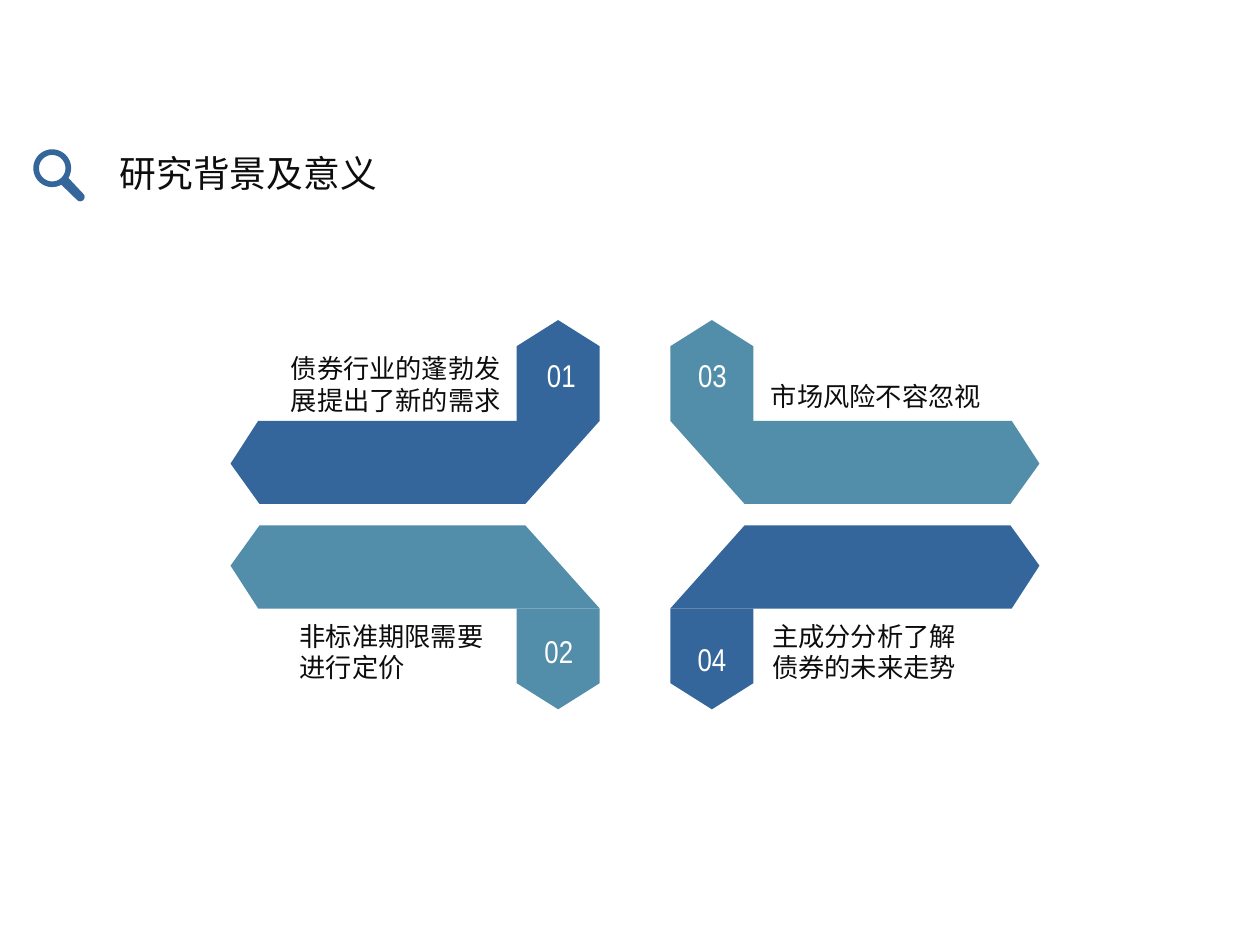
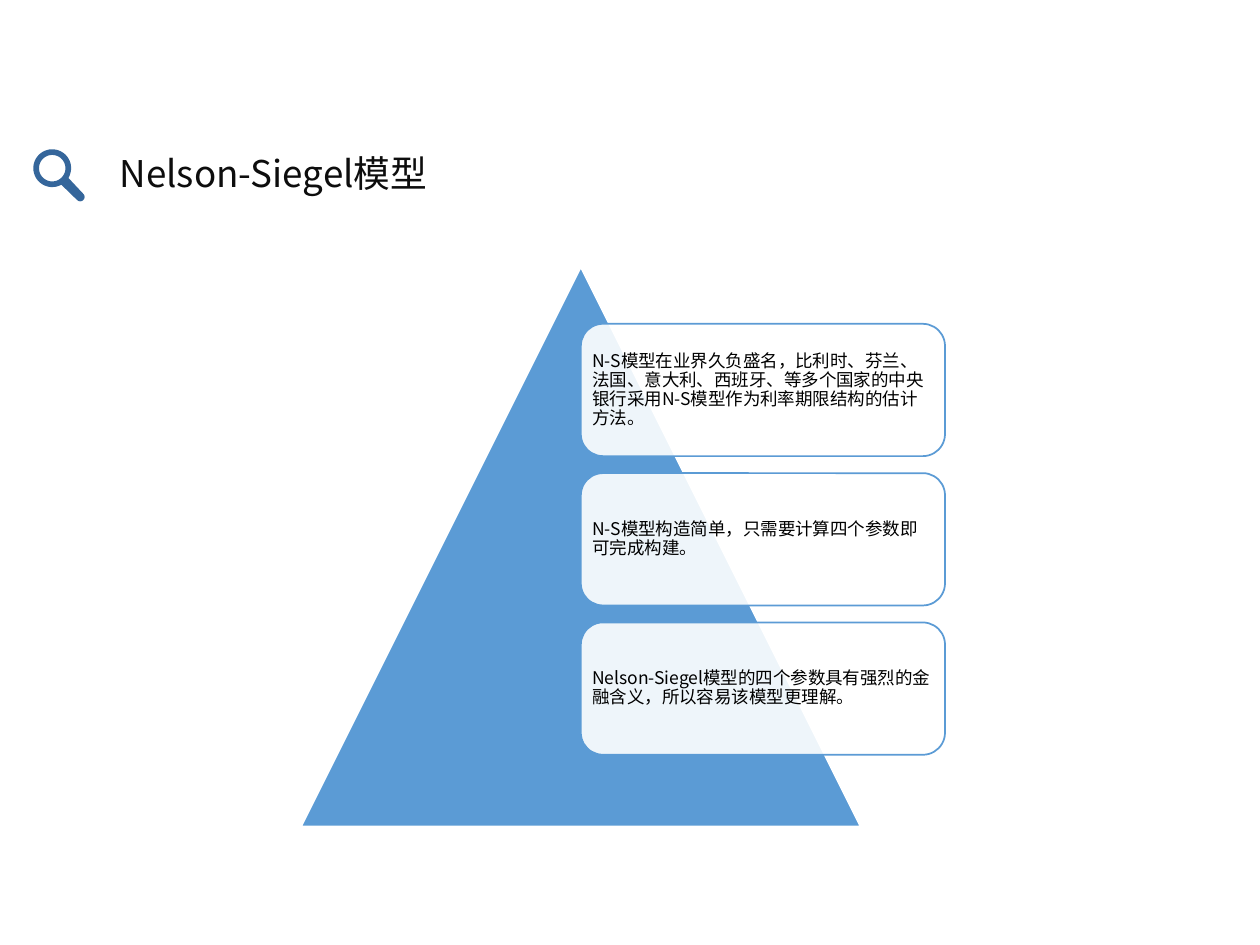
import math
from dataclasses import dataclass

import lxml.etree
import pptx
import pptx.dml.color
import pptx.enum.shapes
import pptx.enum.text
import pptx.oxml.ns
import pptx.util

Inches = pptx.util.Inches
Pt = pptx.util.Pt
Kind = pptx.enum.shapes.MSO_SHAPE
Align = pptx.enum.text.PP_ALIGN
Anchor = pptx.enum.text.MSO_ANCHOR
Fit = pptx.enum.text.MSO_AUTO_SIZE
qn = pptx.oxml.ns.qn


@dataclass(frozen=True)
class Theme:
    navy: str = "35669B"
    teal: str = "528EA9"
    sky: str = "5B9BD5"
    white: str = "FFFFFF"
    ink: str = "0D0D0D"
    black: str = "000000"
    sans: str = "Noto Sans CJK SC"
    narrow: str = "Arial Narrow"
    title: float = 21
    number: float = 18
    label: float = 15
    body: float = 10


def rgb(code):
    return pptx.dml.color.RGBColor.from_string(code)


def write(frame, text, *, size, font, color, align=Align.LEFT,
          anchor=Anchor.TOP, inset=(0.1, 0.05), space=None, grow=False):
    frame.word_wrap = True
    frame.auto_size = Fit.SHAPE_TO_FIT_TEXT if grow else Fit.NONE
    frame.vertical_anchor = anchor
    frame.margin_left = frame.margin_right = Inches(inset[0])
    frame.margin_top = frame.margin_bottom = Inches(inset[1])
    para = frame.paragraphs[0]
    para.alignment = align
    para.line_spacing = space
    run = para.add_run()
    run.text = text
    run.font.size = Pt(size)
    run.font.name = font
    run.font.color.rgb = rgb(color)
    east = lxml.etree.SubElement(run.font._element, qn("a:ea"))
    east.set("typeface", font)


def arc(x, y, radius, start, end, steps):
    turn = (end - start) / steps
    angles = [math.radians(start + turn * i) for i in range(steps + 1)]
    return [(x + radius * math.cos(a), y + radius * math.sin(a)) for a in angles]


class Deck:
    def __init__(self, theme):
        self.theme = theme
        self.file = pptx.Presentation()
        self.file.slide_width = Inches(10)
        self.file.slide_height = Inches(7.5)
        self.slide = None

    def page(self, title):
        self.slide = self.file.slides.add_slide(self.file.slide_layouts[6])
        theme = self.theme
        self.text(title, (0.95, 1.2, 2.66, 0.35), size=theme.title,
                  font=theme.sans, color=theme.ink,
                  align=Align.JUSTIFY, inset=(0, 0))
        self.lens()

    def lens(self):
        x, y = 0.415, 1.335
        rim = arc(x, y, 0.15, 31, -299, 48)
        cap = arc(0.637, 1.563, 0.035, 135, -45, 8)
        hole = arc(x, y, 0.105, 0, 360, 48)
        self.outline([rim + cap, hole], self.theme.navy)

    def text(self, text, box, **style):
        area = self.slide.shapes.add_textbox(*map(Inches, box))
        write(area.text_frame, text, grow=True, **style)

    def paint(self, shape, fill, line=None, alpha=None):
        shape.shadow.inherit = False
        shape.fill.solid()
        shape.fill.fore_color.rgb = rgb(fill)
        if alpha is not None:
            color = shape._element.spPr.find(".//" + qn("a:srgbClr"))
            lxml.etree.SubElement(color, qn("a:alpha")).set("val", str(alpha * 1000))
        if line:
            shape.line.color.rgb = rgb(line)
            shape.line.width = Pt(1)
        else:
            shape.line.fill.background()

    def shape(self, kind, box, fill, line=None, alpha=None):
        shape = self.slide.shapes.add_shape(kind, *map(Inches, box))
        self.paint(shape, fill, line, alpha)
        return shape

    def outline(self, loops, fill):
        loops = [[(Inches(x), Inches(y)) for x, y in loop] for loop in loops]
        pen = self.slide.shapes.build_freeform(*loops[0][0], scale=1.0)
        for i, loop in enumerate(loops):
            if i:
                pen.move_to(*loop[0])
            pen.add_line_segments(loop[1:], close=True)
        self.paint(pen.convert_to_shape(), fill)

    def arm(self, right, low, fill):
        wide, tall = 10.08, 8.17
        points = [(4.76, 3.34), (2.05, 3.34), (1.83, 3.68),
                  (2.06, 4), (4.17, 4)]
        self.outline([[(wide - x if right else x, tall - y if low else y)
                       for x, y in points]], fill)
        box = (5.25 if right else 4.03, 4.9 if low else 2.61, 0.8, 0.66)
        tip = self.shape(Kind.PENTAGON, box, fill)
        tip.adjustments[0] = 0.315
        tip.rotation = 90 if low else 270

    def card(self, text, box):
        theme = self.theme
        card = self.shape(Kind.ROUNDED_RECTANGLE, box, theme.white, theme.sky, 90)
        write(card.text_frame, text, size=theme.body, font=theme.sans,
              color=theme.black, anchor=Anchor.MIDDLE,
              inset=(0.04, 0.04), space=0.9)


def reasons(deck):
    theme = deck.theme
    deck.page("研究背景及意义")
    arms = [
        (False, False, "01", (4.09, 2.78, 0.73, 0.4),
         "债券行业的蓬勃发展提出了新的需求", (2.21, 2.75, 1.87, 0.61)),
        (False, True, "02", (4.07, 4.97, 0.73, 0.4),
         "非标准期限需要进行定价", (2.28, 4.87, 1.83, 0.61)),
        (True, False, "03", (5.29, 2.78, 0.73, 0.4),
         "市场风险不容忽视", (6.02, 2.97, 1.88, 0.35)),
        (True, True, "04", (5.37, 5.03, 0.56, 0.4),
         "主成分分析了解债券的未来走势", (6.03, 4.87, 1.75, 0.61)),
    ]
    for right, low, number, spot, label, box in arms:
        deck.arm(right, low, theme.navy if right == low else theme.teal)
        deck.text(number, spot, size=theme.number, font=theme.narrow,
                  color=theme.white, align=Align.CENTER)
        deck.text(label, box, size=theme.label, font=theme.sans, color=theme.ink)


def model(deck):
    theme = deck.theme
    deck.page("Nelson-Siegel模型")
    deck.shape(Kind.ISOSCELES_TRIANGLE, (2.39, 2.12, 4.44, 4.44),
               theme.sky, theme.white)
    points = [
        "N-S模型在业界久负盛名，比利时、芬兰、法国、意大利、西班牙、等多个国家的中央银行采用N-S模型作为利率期限结构的估计方法。",
        "N-S模型构造简单，只需要计算四个参数即可完成构建。",
        "Nelson-Siegel模型的四个参数具有强烈的金融含义，所以容易该模型更理解。",
    ]
    for i, point in enumerate(points):
        deck.card(point, (4.61, 2.57 + 1.185 * i, 2.89, 1.05))


def main():
    deck = Deck(Theme())
    reasons(deck)
    model(deck)
    deck.file.save("out.pptx")


if __name__ == "__main__":
    main()
